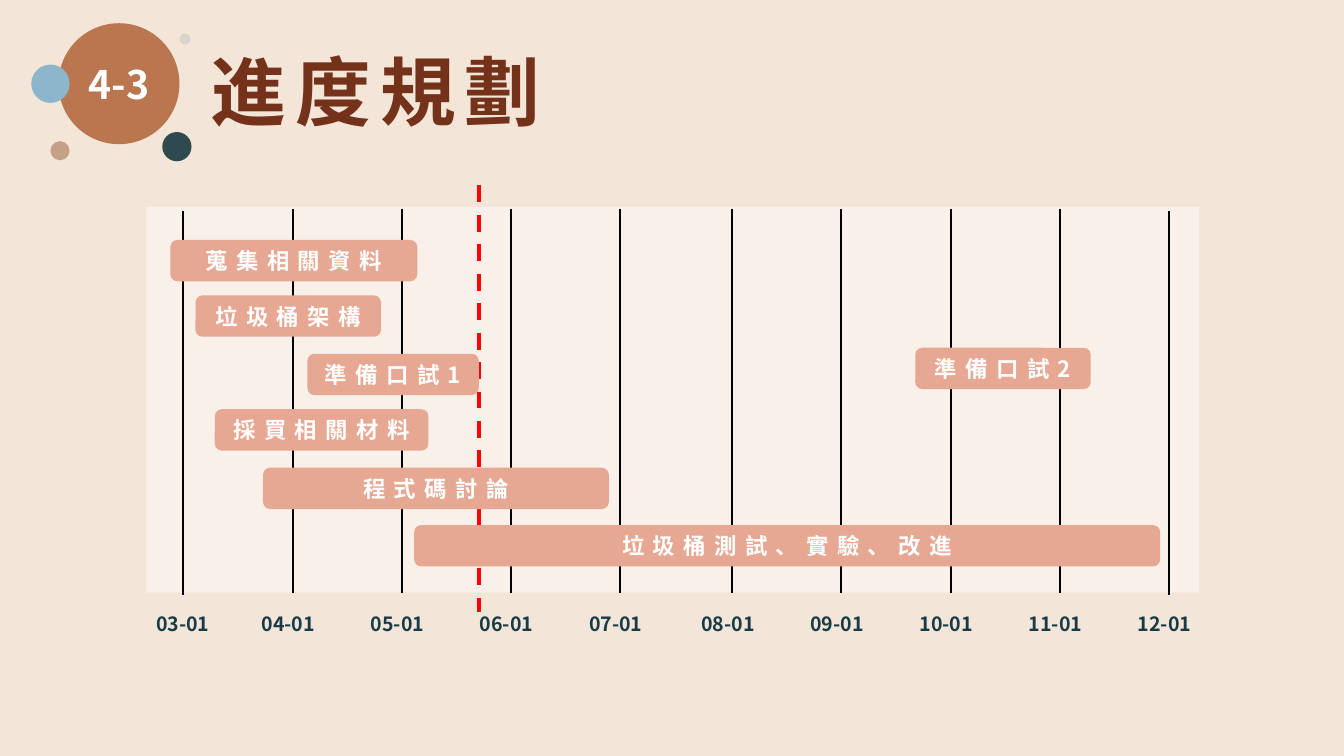
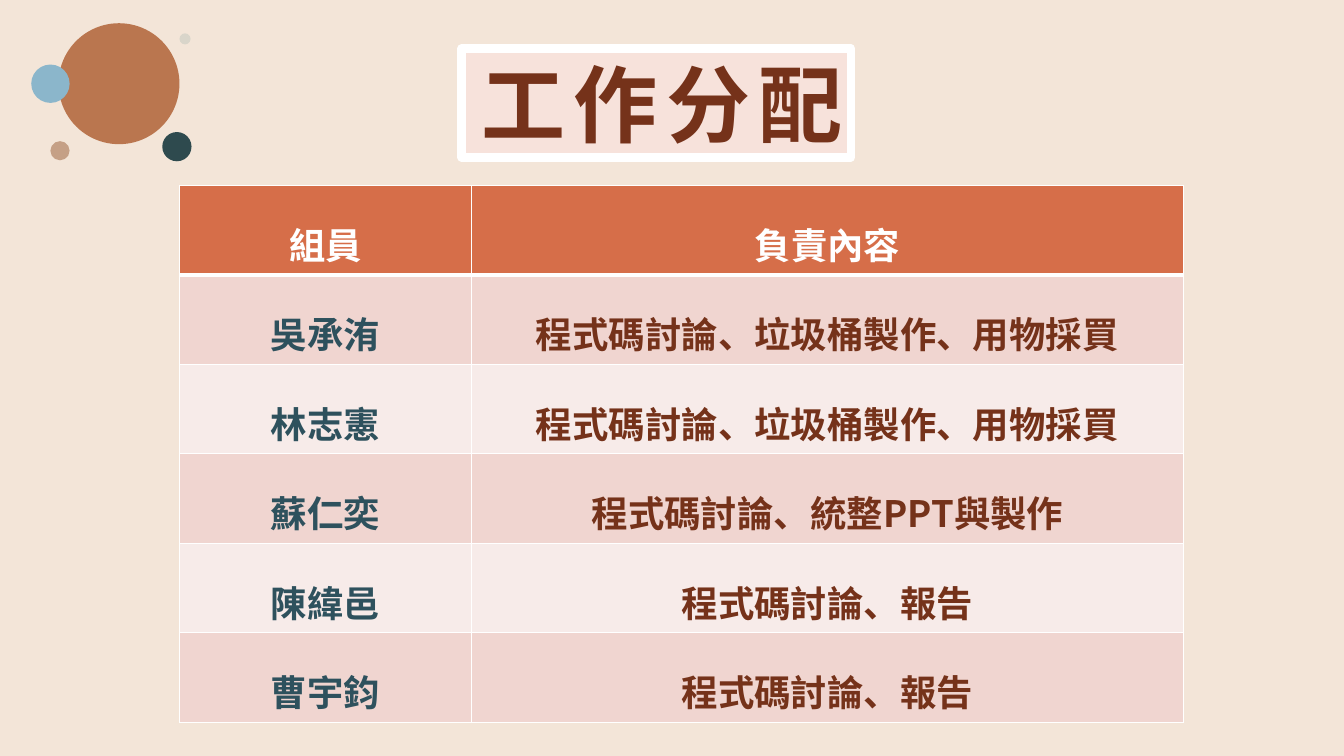
import pptx
import pptx.util
import pptx.dml.color
import pptx.enum.dml
import pptx.enum.shapes
import pptx.enum.text
import pptx.oxml
import pptx.oxml.ns

Pt = pptx.util.Pt
Shape = pptx.enum.shapes.MSO_SHAPE
Align = pptx.enum.text.PP_ALIGN
Anchor = pptx.enum.text.MSO_ANCHOR

COLORS = {
    "sand": "F3E5D8", "clay": "BA764F", "sky": "8BB6CB", "tan": "C5A086",
    "teal": "2E4A4E", "mist": "D9D5CA", "brown": "75321A", "white": "FFFFFF",
    "black": "000000", "red": "FF0000", "navy": "183B47", "peach": "E6A892",
    "blush": "F7E2DB", "head": "D66E49", "odd": "F0D5D0", "even": "F7EBE9",
    "slate": "2E515D",
}
FONT = "Noto Sans CJK SC"
DOTS = [  # left, top, size, colour
    (41.8, 16.6, 86.4, "clay"), (22.3, 46.1, 27.4, "sky"),
    (36, 100.8, 13.7, "tan"), (115.9, 94.3, 20.9, "teal"),
    (128.2, 23.8, 7.9, "mist"),
]


class Deck:
    def __init__(self):
        self.prs = pptx.Presentation()
        self.prs.slide_width, self.prs.slide_height = Pt(960), Pt(540)
        self.slide = None

    def color(self, name):
        return pptx.dml.color.RGBColor.from_string(COLORS[name])

    def paint(self, fill, name):
        fill.solid()
        fill.fore_color.rgb = self.color(name)

    def page(self, badge=""):
        """Start a slide with the background and the cluster of dots."""
        self.slide = self.prs.slides.add_slide(self.prs.slide_layouts[6])
        self.paint(self.slide.background.fill, "sand")
        group = self.slide.shapes.add_group_shape()
        for left, top, size, name in DOTS:
            dot = self.shape(Shape.OVAL, (left, top, size, size), name, group)
            if badge and name == "clay":
                self.label(dot.text_frame, badge, 28, align=Align.CENTER)

    def label(self, frame, text, size, name="white", align=Align.LEFT,
              gap=0, lead=None):
        para = frame.paragraphs[0]
        para.alignment, para.line_spacing = align, lead
        run = para.add_run()
        run.text = text
        form = {"name": FONT, "size": Pt(size), "bold": True}
        for key, value in form.items():
            setattr(run.font, key, value)
        run.font.color.rgb = self.color(name)
        props = run.font._element
        if gap:
            props.set("spc", str(round(gap * 100)))
        latin = props.find(pptx.oxml.ns.qn("a:latin"))
        latin.addnext(pptx.oxml.parse_xml(
            f'<a:ea {pptx.oxml.ns.nsdecls("a")} typeface="{FONT}"/>'))

    def shape(self, kind, box, name, group=None, alpha=None):
        home = group or self.slide
        item = home.shapes.add_shape(kind, *map(Pt, box))
        item.shadow.inherit = False
        self.paint(item.fill, name)
        item.line.fill.background()
        if alpha:
            tone = item.fill._xPr.find(".//" + pptx.oxml.ns.qn("a:srgbClr"))
            tone.append(pptx.oxml.parse_xml(
                f'<a:alpha {pptx.oxml.ns.nsdecls("a")} val="{alpha * 1000}"/>'))
        frame = item.text_frame
        frame.margin_left = frame.margin_right = 0
        frame.vertical_anchor = Anchor.MIDDLE
        return item

    def text(self, box, text, size, name, gap=0):
        frame = self.slide.shapes.add_textbox(*map(Pt, box)).text_frame
        frame.word_wrap = True
        self.label(frame, text, size, name, gap=gap)

    def line(self, left, top, end, name="black", width=1.5, dash=None):
        """Draw a vertical line."""
        rule = self.slide.shapes.add_connector(
            pptx.enum.shapes.MSO_CONNECTOR.STRAIGHT,
            Pt(left), Pt(top), Pt(left), Pt(end))
        rule.line.color.rgb = self.color(name)
        rule.line.width = Pt(width)
        if dash:
            rule.line.dash_style = dash
        rule._element.spPr.append(pptx.oxml.parse_xml(
            f'<a:effectLst {pptx.oxml.ns.nsdecls("a")}/>'))

    def bar(self, left, top, width, text):
        item = self.shape(Shape.ROUNDED_RECTANGLE, (left, top, width, 29.5),
                          "peach")
        self.label(item.text_frame, text, 16, align=Align.CENTER, gap=6)

    def edge(self, cell, widths):
        props = cell._tc.get_or_add_tcPr()
        for side, width in widths.items():
            props.append(pptx.oxml.parse_xml(
                f'<a:ln{side} {pptx.oxml.ns.nsdecls("a")} w="{Pt(width)}">'
                f'<a:solidFill><a:srgbClr val="{COLORS["white"]}"/>'
                f'</a:solidFill></a:ln{side}>'))

    def table(self, left, top, cols, high, rows):
        grid = self.slide.shapes.add_table(
            len(rows), len(cols), Pt(left), Pt(top),
            Pt(sum(cols)), Pt(high * len(rows))).table
        for col, width in zip(grid.columns, cols):
            col.width = Pt(width)
        for r, row in enumerate(rows):
            grid.rows[r].height = Pt(high)
            back = "head" if r == 0 else ("even", "odd")[r % 2]
            inks = ("white", "white") if r == 0 else ("slate", "brown")
            for c, text in enumerate(row):
                cell = grid.cell(r, c)
                self.edge(cell, {"L": 1, "R": 1, "T": 3 if r == 1 else 1,
                                 "B": 3 if r == 0 else 1})
                self.paint(cell.fill, back)
                self.label(cell.text_frame, text, 26, inks[c],
                           Align.CENTER, lead=1.5)


def plan(deck):
    deck.page("4-3")
    deck.text((143.3, 28.8, 258.5, 72.7), "進度規劃", 54, "brown", 6.6)
    deck.shape(Shape.RECTANGLE, (104.4, 147.6, 752.4, 275.8), "white", alpha=44)

    # Month lines and dates
    for i in range(10):
        left = 131 + 78 * i + (2 if i > 4 else 0)
        top = 150.5 if i in (0, 9) else 149
        deck.line(left, top, top + 274.3)
        shift = 26.6 if i == 0 else 29.3
        deck.text((left - shift, 433.4, 57.6, 24.5), f"{i + 3:02}-01", 14, "navy")

    # Tasks behind and in front of the line for today
    deck.bar(153.4, 292.3, 152.6, "採買相關材料")
    deck.bar(139.7, 211, 132.5, "垃圾桶架構")
    deck.bar(653.8, 248.4, 125.3, "準備口試2")
    deck.line(342, 132.5, 437, "red", 3, pptx.enum.dml.MSO_LINE.DASH)
    deck.bar(187.9, 334.1, 247, "程式碼討論")
    deck.bar(121.7, 171.4, 176.4, "蒐集相關資料")
    deck.bar(295.9, 375.1, 532.8, "垃圾桶測試、實驗、改進")
    deck.bar(219.6, 252.7, 122.4, "準備口試1")


def work(deck):
    deck.page()
    both = "程式碼討論、垃圾桶製作、用物採買"
    talk = "程式碼討論、報告"
    deck.table(128.2, 132.5, (208.8, 508.3), 63.9, [
        ("組員", "負責內容"),
        ("吳承洧", both),
        ("林志憲", both),
        ("蘇仁奕", "程式碼討論、統整PPT與製作"),
        ("陳緯邑", talk),
        ("曹宇鈞", talk),
    ])

    # Framed title
    title = deck.shape(Shape.RECTANGLE, (329.8, 34.6, 277.9, 77.8), "blush")
    title.line.color.rgb = deck.color("white")
    title.line.width = Pt(6)
    frame = title.text_frame
    form = {"margin_left": Pt(5.8), "margin_right": Pt(5.8),
            "margin_top": Pt(2.9), "margin_bottom": Pt(2.9),
            "word_wrap": False, "vertical_anchor": Anchor.TOP}
    for key, value in form.items():
        setattr(frame, key, value)
    deck.label(frame, "工作分配", 60, "brown", Align.RIGHT, gap=6)


def main():
    deck = Deck()
    plan(deck)
    work(deck)
    deck.prs.save("out.pptx")


if __name__ == "__main__":
    main()
